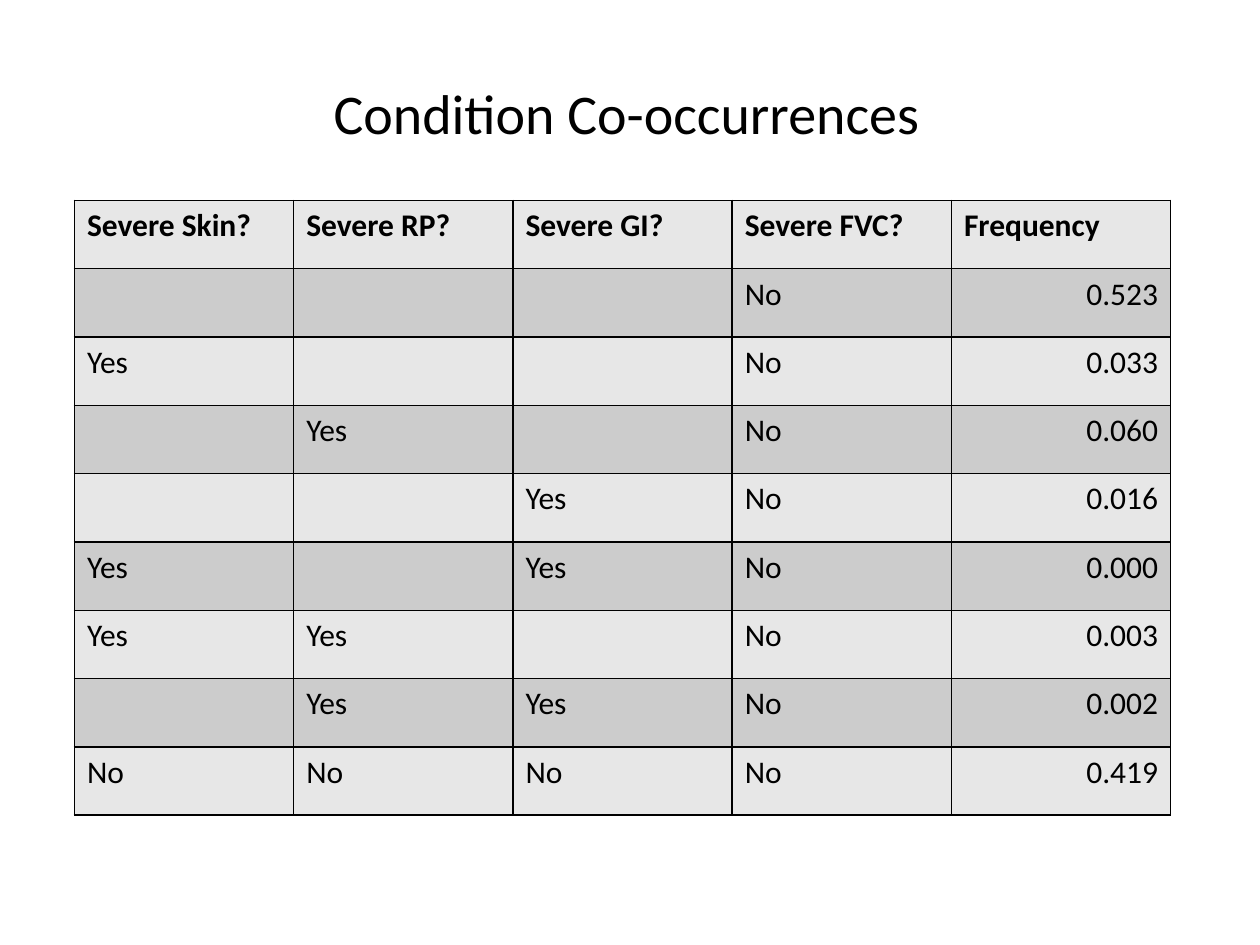
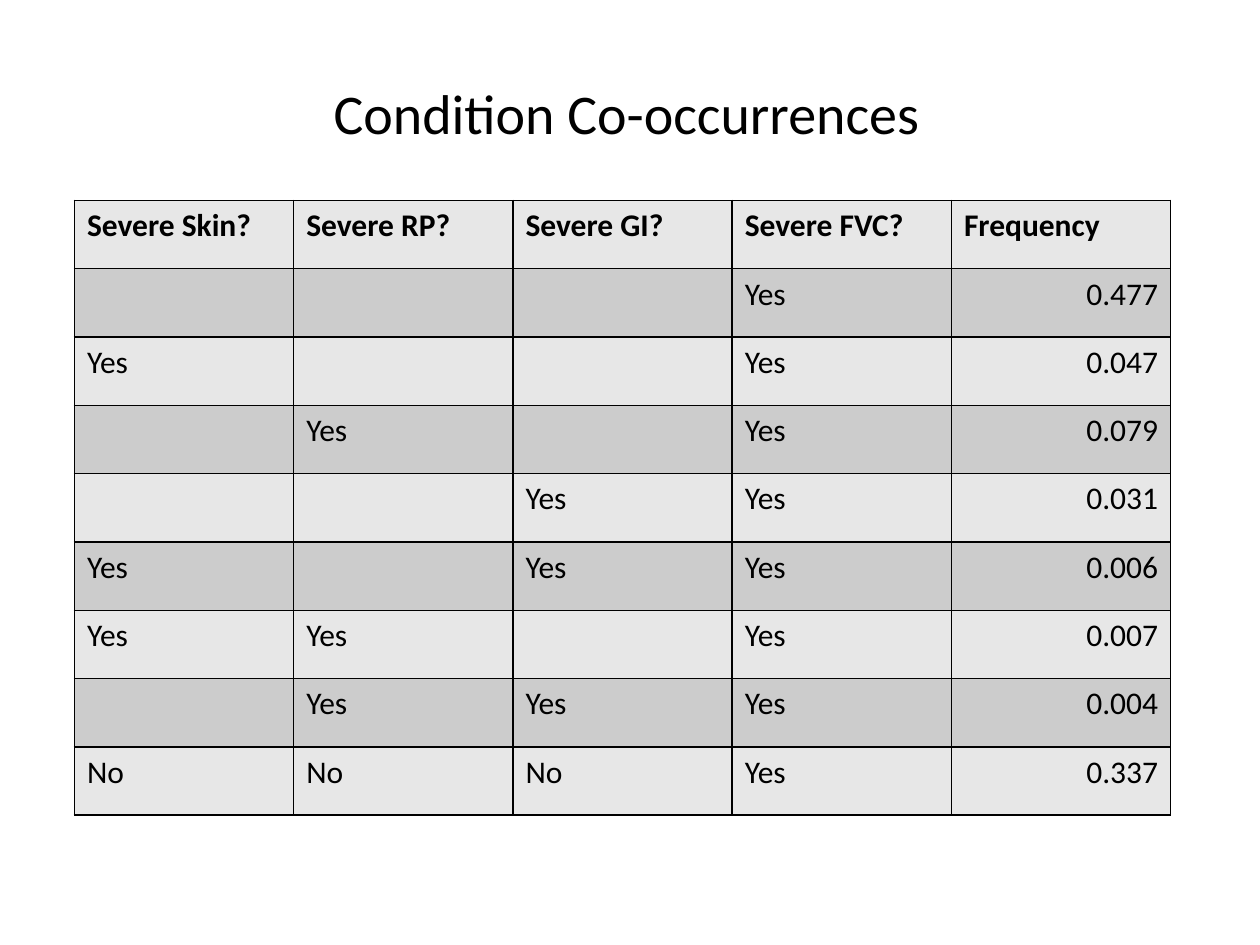
from lxml import etree
from pptx import Presentation
from pptx import util as u
from pptx.dml.color import RGBColor
from pptx.enum import text
from pptx.oxml import ns

INK = RGBColor(0x00, 0x00, 0x00)
LIGHT = RGBColor(0xE7, 0xE7, 0xE7)
DARK = RGBColor(0xCC, 0xCC, 0xCC)

TITLE = "Condition Co-occurrences"
HEADS = ["Severe Skin?", "Severe RP?", "Severe GI?", "Severe FVC?", "Frequency"]
# Skin, RP and GI states, the same for both FVC states
CASES = [
    ("", "", ""),
    ("Yes", "", ""),
    ("", "Yes", ""),
    ("", "", "Yes"),
    ("Yes", "", "Yes"),
    ("Yes", "Yes", ""),
    ("", "Yes", "Yes"),
    ("No", "No", "No"),
]
RATES = {
    "No": ["0.523", "0.033", "0.060", "0.016", "0.000", "0.003", "0.002", "0.419"],
    "Yes": ["0.477", "0.047", "0.079", "0.031", "0.006", "0.007", "0.004", "0.337"],
}


class Deck:
    font = "Calibri"
    sizes = {"title": u.Pt(32), "cell": u.Pt(18)}

    def __init__(self):
        self.prs = Presentation()
        self.prs.slide_width = u.Cm(25.4)
        self.prs.slide_height = u.Cm(19.05)
        self.slide = None

    def add(self):
        self.slide = self.prs.slides.add_slide(self.prs.slide_layouts[5])

    def style(self, para, kind, bold=False, align=text.PP_ALIGN.LEFT):
        para.alignment = align
        look = {"name": self.font, "size": self.sizes[kind], "bold": bold}
        for key, value in look.items():
            setattr(para.font, key, value)
        para.font.color.rgb = INK

    def title(self, words):
        box = self.slide.shapes.title
        place = {"left": 3.76, "top": 1.45, "width": 17.75, "height": 1.63}
        for key, value in place.items():
            setattr(box, key, u.Cm(value))
        box.text_frame.text = words
        self.style(box.text_frame.paragraphs[0], "title", align=text.PP_ALIGN.CENTER)

    def border(self, cell):
        props = cell._tc.get_or_add_tcPr()
        for side in "LRTB":
            line = etree.SubElement(props, ns.qn("a:ln" + side), w=str(u.Pt(1)))
            fill = etree.SubElement(line, ns.qn("a:solidFill"))
            etree.SubElement(fill, ns.qn("a:srgbClr"), val=str(INK))

    def table(self, rows):
        """Draw a banded grid: bold first row, last column to the right."""
        last = len(rows[0]) - 1
        grid = self.slide.shapes.add_table(
            len(rows), last + 1, u.Cm(1.5), u.Cm(4.04), u.Cm(22.1), u.Cm(12.4)
        ).table
        for r, row in enumerate(rows):
            for c, words in enumerate(row):
                cell = grid.cell(r, c)
                self.border(cell)
                cell.fill.solid()
                cell.fill.fore_color.rgb = DARK if r % 2 else LIGHT
                cell.text = words
                right = r > 0 and c == last
                align = text.PP_ALIGN.RIGHT if right else text.PP_ALIGN.LEFT
                self.style(cell.text_frame.paragraphs[0], "cell", r == 0, align)


def main():
    deck = Deck()
    for state, rates in RATES.items():
        deck.add()
        deck.title(TITLE)
        body = [[*case, state, rate] for case, rate in zip(CASES, rates)]
        deck.table([HEADS, *body])
    deck.prs.save("out.pptx")


if __name__ == "__main__":
    main()
